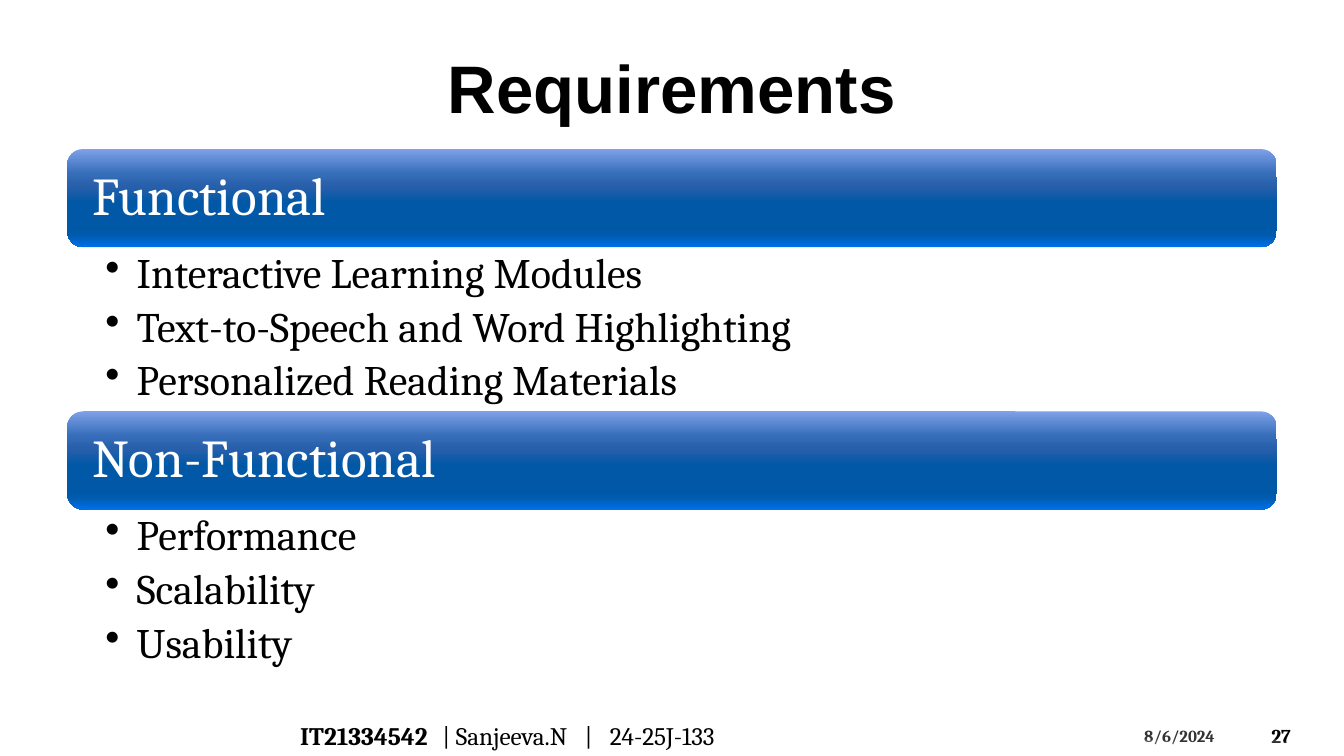
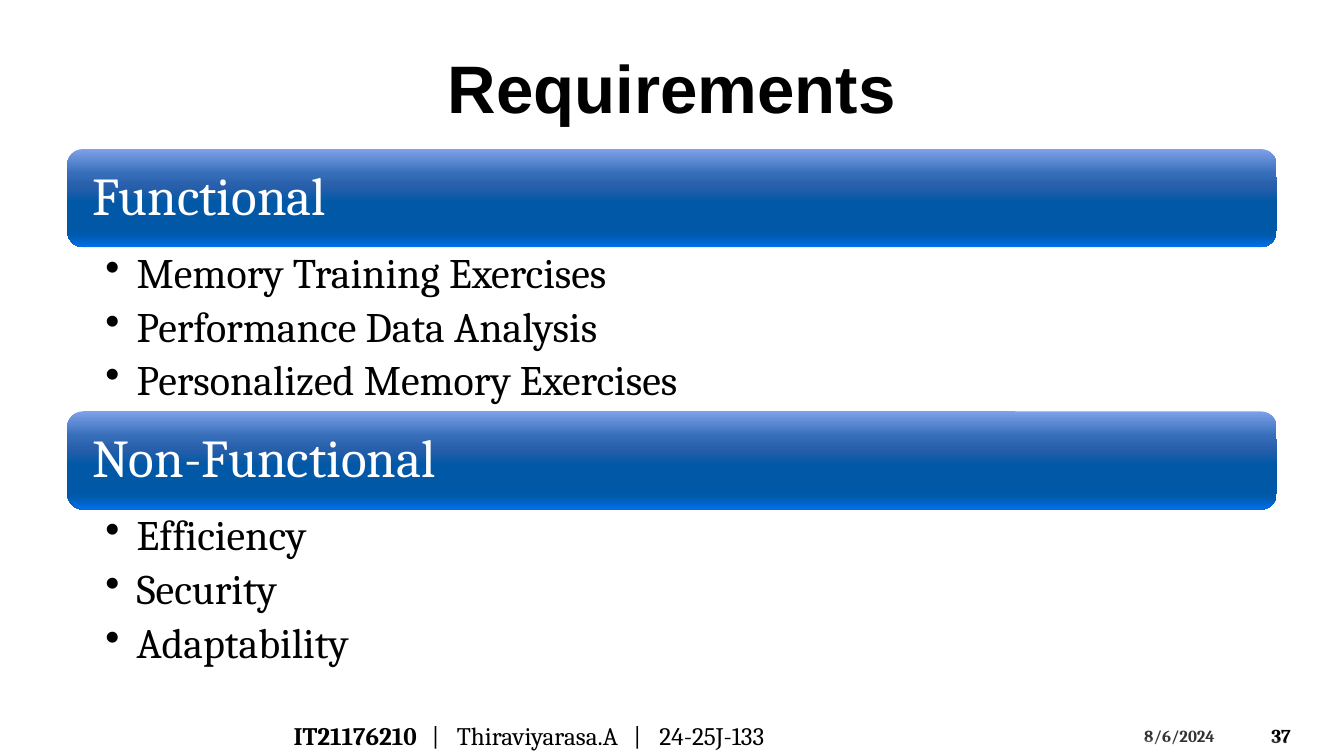
from dataclasses import dataclass

from lxml import etree
from pptx import Presentation
from pptx.dml.color import RGBColor
from pptx.enum import shapes, text
from pptx.oxml import ns
from pptx.util import Inches, Pt


@dataclass(frozen=True)
class Theme:
    # Fonts and colours
    head_font: str = "Arial"
    body_font: str = "Cambria"
    ink: str = "000000"
    paper: str = "FFFFFF"
    banner: tuple = ((0, "7FA1E9"), (25, "376EB9"), (38, "285FAA"), (55, "0058A7"),
                     (80, "0057A6"), (88, "005BAE"), (100, "0070EB"))
    wedge_alpha: int = 20
    # Type sizes in points
    title: int = 48
    heading: int = 38
    bullet: int = 30
    footer: int = 18
    number: int = 14
    date: int = 12


WIDTH, HEIGHT = 13.33, 7.5
COLS = ROWS = 100  # grid the layout is measured on
LEFT, SPAN = 5, 90
FIRST_BANNER, BANNER_H, LIST_H = 19.7, 13, 21.7
DATE = "8/6/2024"
WEDGES = ((93.5, 0.85), (94.5, 0.63), (97.3, 0.39))  # top row, apex

SLIDES = [
    {
        "number": "27",
        "groups": {
            "Functional": ["Interactive Learning Modules",
                           "Text-to-Speech and Word Highlighting",
                           "Personalized Reading Materials"],
            "Non-Functional": ["Performance", "Scalability", "Usability"],
        },
        "footer": ("IT21334542", "\t| Sanjeeva.N\t|\t24-25J-133"),
        "left": 21.6,
        "tabs": (1.41, 2.82, 3.07),
    },
    {
        "number": "37",
        "groups": {
            "Functional": ["Memory Training Exercises",
                           "Performance Data Analysis",
                           "Personalized Memory Exercises"],
            "Non-Functional": ["Efficiency", "Security", "Adaptability"],
        },
        "footer": ("IT21176210", "\t|\tThiraviyarasa.A\t|\t24-25J-133"),
        "left": 21.1,
        "tabs": (1.37, 1.62, 3.37, 3.63),
    },
]


def sub(parent, tag, **attrs):
    return etree.SubElement(parent, ns.qn(tag), {k: str(v) for k, v in attrs.items()})


def apply(obj, values):
    for name, value in values.items():
        setattr(obj, name, value)


class Deck:
    def __init__(self, theme):
        self.theme = theme
        self.prs = Presentation()
        apply(self.prs, {"slide_width": Inches(WIDTH), "slide_height": Inches(HEIGHT)})
        self.s = None

    def new_slide(self):
        self.s = self.prs.slides.add_slide(self.prs.slide_layouts[6])

    def box(self, col, row, cols, rows):
        return (Inches(col * WIDTH / COLS), Inches(row * HEIGHT / ROWS),
                Inches(cols * WIDTH / COLS), Inches(rows * HEIGHT / ROWS))

    def shape(self, kind, area, adjust=None):
        sp = self.s.shapes.add_shape(kind, *self.box(*area))
        sp.shadow.inherit = False
        sp.line.fill.background()
        if adjust is not None:
            sp.adjustments[0] = adjust
        return sp

    def frame(self, sp, **values):
        tf = sp.text_frame
        apply(tf, {"word_wrap": True, **values})
        return tf

    def textbox(self, area, **values):
        return self.frame(self.s.shapes.add_textbox(*self.box(*area)), **values)

    def run(self, p, words, size, **values):
        r = p.add_run()
        r.text = words
        color = values.pop("color", self.theme.ink)
        apply(r.font, {"size": Pt(size), "name": self.theme.body_font, **values})
        r.font.color.rgb = RGBColor.from_string(color)

    def spacing(self, p, after):
        p.line_spacing = 0.9
        sub(sub(p._p.get_or_add_pPr(), "a:spcAft"), "a:spcPct", val=after * 1000)

    def title(self, words):
        tf = self.textbox((LEFT, 4, SPAN, 13.5), vertical_anchor=text.MSO_ANCHOR.BOTTOM)
        p = tf.paragraphs[0]
        p.alignment = text.PP_ALIGN.CENTER
        self.run(p, words, self.theme.title, name=self.theme.head_font, bold=True)

    def banner(self, row, words):
        sp = self.shape(shapes.MSO_SHAPE.ROUNDED_RECTANGLE, (LEFT, row, SPAN, BANNER_H))
        # Vertical gradient with all the theme's stops
        sp.fill.gradient()
        sp.fill.gradient_angle = 270
        stops = sp._element.spPr.find(".//" + ns.qn("a:gsLst"))
        for stop in list(stops):
            stops.remove(stop)
        for pos, color in self.theme.banner:
            sub(sub(stops, "a:gs", pos=pos * 1000), "a:srgbClr", val=color)
        tf = self.frame(sp, vertical_anchor=text.MSO_ANCHOR.MIDDLE,
                        margin_left=Inches(0.2), margin_right=Inches(0.2))
        p = tf.paragraphs[0]
        p.alignment = text.PP_ALIGN.LEFT
        self.spacing(p, 35)
        self.run(p, words, self.theme.heading, color=self.theme.paper)

    def bullets(self, row, items):
        tf = self.textbox((LEFT, row, SPAN, LIST_H),
                          margin_left=Inches(0.38), margin_right=Inches(0.3))
        for i, item in enumerate(items):
            p = tf.add_paragraph() if i else tf.paragraphs[0]
            self.spacing(p, 20)
            pPr = p._p.get_or_add_pPr()
            apply(p, {"level": 1})
            pPr.set("marL", str(Inches(0.31)))
            pPr.set("indent", str(-Inches(0.31)))
            sub(pPr, "a:buChar", char="•")
            self.run(p, item, self.theme.bullet)

    def label(self, area, words, size, **values):
        tf = self.textbox(area, **values)
        self.run(tf.paragraphs[0], words, size, bold=True)
        return tf.paragraphs[0]

    def wedges(self):
        for row, apex in WEDGES:
            sp = self.shape(shapes.MSO_SHAPE.ISOSCELES_TRIANGLE,
                            (0, row, COLS, ROWS - row), apex)
            sp.fill.solid()
            sp.fill.fore_color.rgb = RGBColor.from_string(self.theme.paper)
            color = sp._element.spPr.find(".//" + ns.qn("a:srgbClr"))
            sub(color, "a:alpha", val=self.theme.wedge_alpha * 1000)

    def base(self, number):
        self.label((93.85, 94.67, 5.55, 5.33), number, self.theme.number,
                   vertical_anchor=text.MSO_ANCHOR.MIDDLE)
        self.label((84.4, 95.33, 8.8, 4), DATE, self.theme.date)
        self.wedges()

    def footer(self, left, parts, tabs):
        code, rest = parts
        p = self.label((left, 94.67, 55.9, 5.33), code, self.theme.footer,
                       vertical_anchor=text.MSO_ANCHOR.MIDDLE)
        tab_list = sub(p._p.get_or_add_pPr(), "a:tabLst")
        for pos in tabs:
            sub(tab_list, "a:tab", pos=Inches(pos), algn="l")
        self.run(p, rest, self.theme.footer, bold=False)


def main():
    deck = Deck(Theme())
    for content in SLIDES:
        deck.new_slide()
        deck.base(content["number"])
        deck.title("Requirements")
        # Each banner is followed by its list
        for i, (heading, items) in enumerate(content["groups"].items()):
            row = FIRST_BANNER + i * (BANNER_H + LIST_H)
            deck.banner(row, heading)
            deck.bullets(row + BANNER_H, items)
        deck.footer(content["left"], content["footer"], content["tabs"])
    deck.prs.save("out.pptx")


if __name__ == "__main__":
    main()
